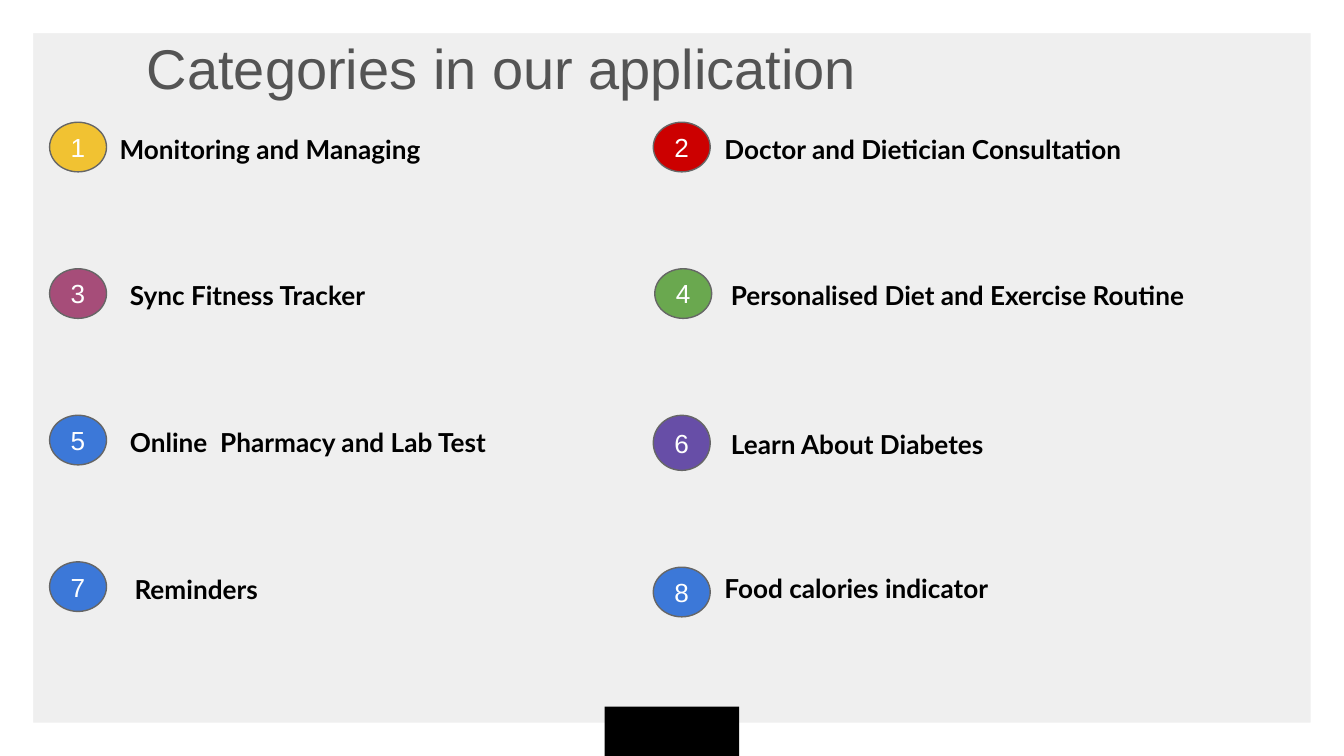
from pptx import Presentation
from pptx.dml.color import RGBColor
from pptx.enum.shapes import MSO_SHAPE
from pptx.enum.text import MSO_ANCHOR, MSO_AUTO_SIZE, PP_ALIGN
from pptx.util import Pt

COLORS = {
    "background": "EFEFEF", "white": "FFFFFF", "black": "000000",
    "title": "545454", "outline": "666666", "yellow": "F1C232",
    "red": "CC0000", "plum": "A64D79", "green": "6AA84F",
    "blue": "3C78D8", "purple": "674EA7",
}
INSET = 7.2
ROW_TOP, ROW_PITCH = 65.5, 78.5
BADGE_LEFTS = (26.6, 350)
BADGE_WIDTH, BADGE_HEIGHT = 30.5, 26.6
LABEL_HEIGHT = 29.5

# Label, badge colour, label left, label width, in reading order
CATEGORIES = [
    ("Monitoring and Managing", "yellow", 57, 177),
    ("Doctor and Dietician Consultation", "red", 381, 235),
    ("Sync Fitness Tracker", "plum", 62.5, 177),
    ("Personalised Diet and Exercise Routine", "green", 384.5, 260),
    ("Online  Pharmacy and Lab Test", "blue", 62.5, 222.5),
    ("Learn About Diabetes", "purple", 384.5, 177),
    ("Reminders", "blue", 65, 222.5),
    ("Food calories indicator", "blue", 381, 222.5),
]
# Small departures from the grid, by category number
BADGE_SHIFTS = {4: (0.8, 0), 8: (0, 2.9)}
BADGE_HEIGHTS = {6: 29.5}
LABEL_SHIFTS = {6: 1.4, 7: 0.6}


def color(name):
    return RGBColor.from_string(COLORS[name])


def write(shape, text, *, size=14, font="Arial", fill="black", bold=False,
          align=PP_ALIGN.LEFT, anchor=MSO_ANCHOR.TOP, wrap=True, top_inset=INSET):
    frame = shape.text_frame
    frame.auto_size = MSO_AUTO_SIZE.NONE
    frame.word_wrap = wrap
    frame.vertical_anchor = anchor
    frame.margin_left = frame.margin_right = frame.margin_bottom = Pt(INSET)
    frame.margin_top = Pt(top_inset)
    para = frame.paragraphs[0]
    para.alignment = align
    span = para.add_run()
    span.text = text
    span.font.size = Pt(size)
    span.font.name = font
    span.font.bold = bold
    span.font.color.rgb = color(fill)


def add_shape(page, kind, left, top, width, height, fill, outline=None):
    shape = page.shapes.add_shape(kind, Pt(left), Pt(top), Pt(width), Pt(height))
    shape.shadow.inherit = False
    shape.fill.solid()
    shape.fill.fore_color.rgb = color(fill)
    if outline:
        shape.line.color.rgb = color(outline)
        shape.line.width = Pt(0.75)
    else:
        shape.line.fill.background()
    return shape


def add_backdrop(page):
    page.background.fill.solid()
    page.background.fill.fore_color.rgb = color("background")
    border = add_shape(page, MSO_SHAPE.FRAME, 0, 0, 720, 405, "white")
    border.adjustments[0] = 0.044
    tab = add_shape(page, MSO_SHAPE.RECTANGLE, 346.7, 355.8, 26.6, 72, "black")
    tab.rotation = 270


def add_title(page, text):
    title = page.shapes.title
    title.left, title.top, title.width, title.height = Pt(71.5), Pt(7.2), Pt(577.5), Pt(36)
    write(title, text, size=30, fill="title", top_inset=10.7)


def add_badge(page, number, left, top, fill):
    shift_x, shift_y = BADGE_SHIFTS.get(number, (0, 0))
    height = BADGE_HEIGHTS.get(number, BADGE_HEIGHT)
    badge = add_shape(page, MSO_SHAPE.OVAL, left + shift_x, top + shift_y,
                      BADGE_WIDTH, height, fill, "outline")
    write(badge, str(number), fill="white", align=PP_ALIGN.CENTER,
          anchor=MSO_ANCHOR.MIDDLE, wrap=False)


def add_label(page, text, left, top, width):
    box = page.shapes.add_textbox(Pt(left), Pt(top), Pt(width), Pt(LABEL_HEIGHT))
    write(box, text, font="Lato", bold=True)


def main():
    deck = Presentation()
    deck.slide_width, deck.slide_height = Pt(720), Pt(405)
    page = deck.slides.add_slide(deck.slide_layouts[5])
    add_backdrop(page)
    add_title(page, "Categories in our application")
    for index, (text, fill, label_left, label_width) in enumerate(CATEGORIES):
        row, column = divmod(index, 2)
        number = index + 1
        top = ROW_TOP + row * ROW_PITCH
        add_badge(page, number, BADGE_LEFTS[column], top, fill)
        label_top = top - (LABEL_HEIGHT - BADGE_HEIGHT) / 2 + LABEL_SHIFTS.get(number, 0)
        add_label(page, text, label_left, label_top, label_width)
    deck.save("out.pptx")


if __name__ == "__main__":
    main()
